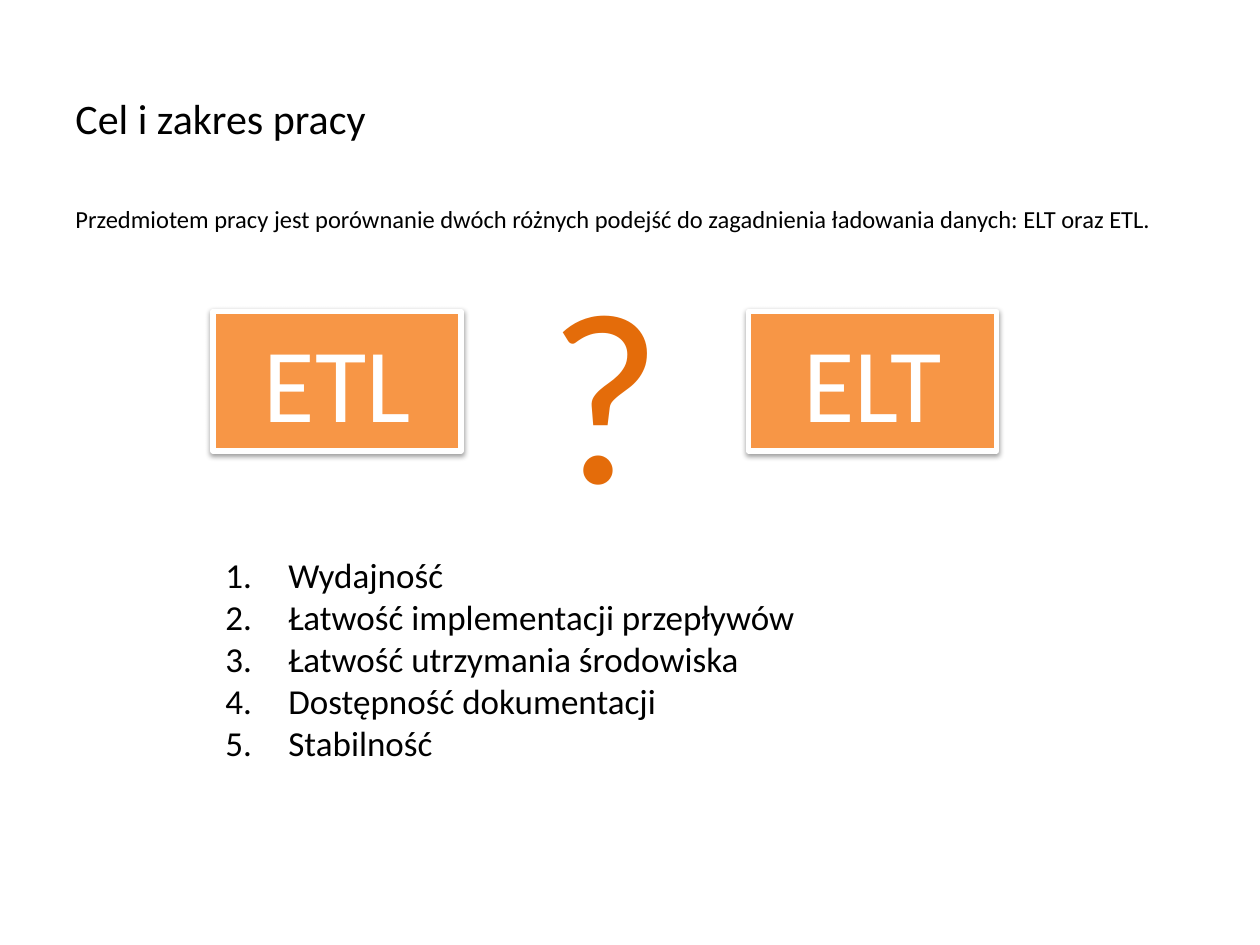
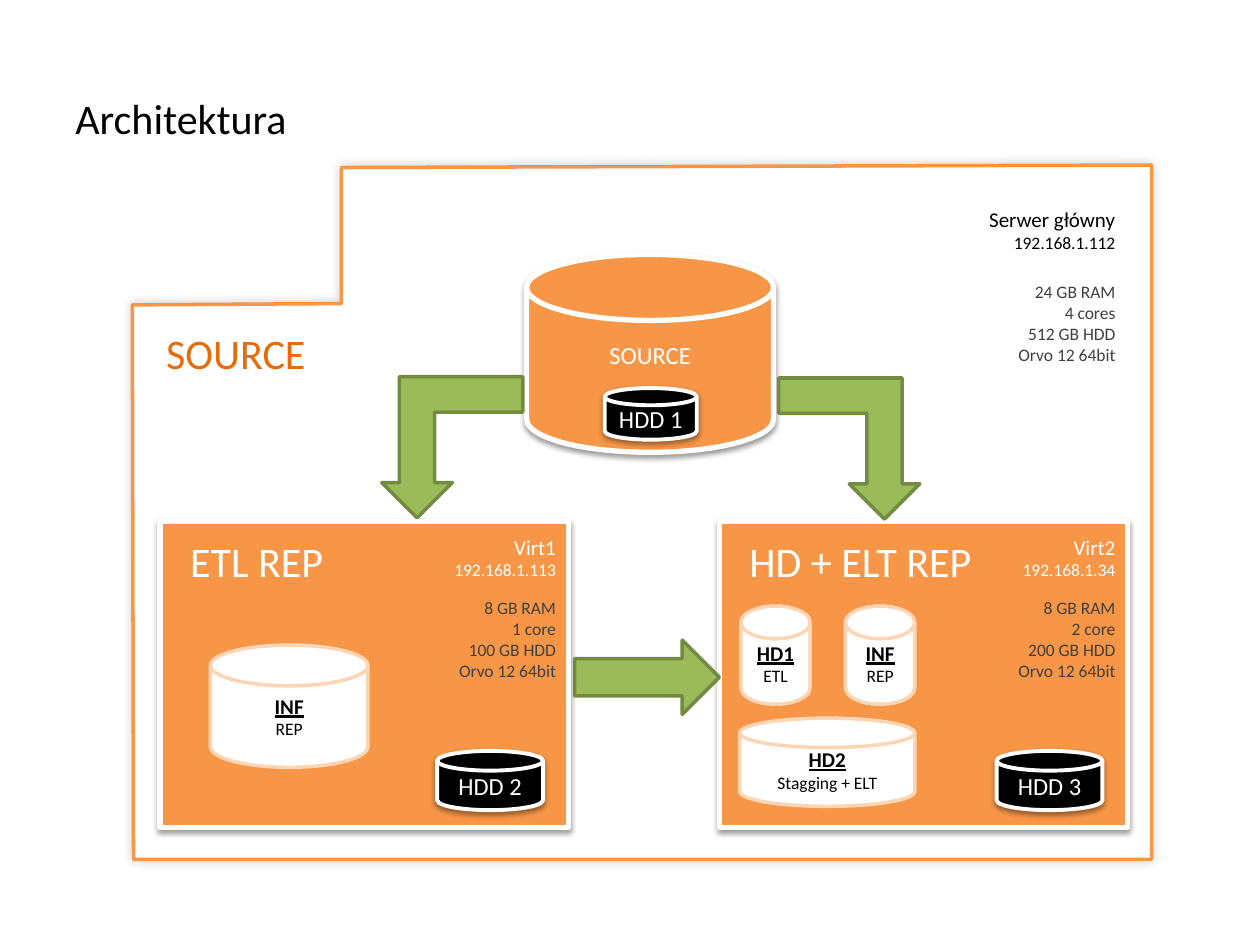
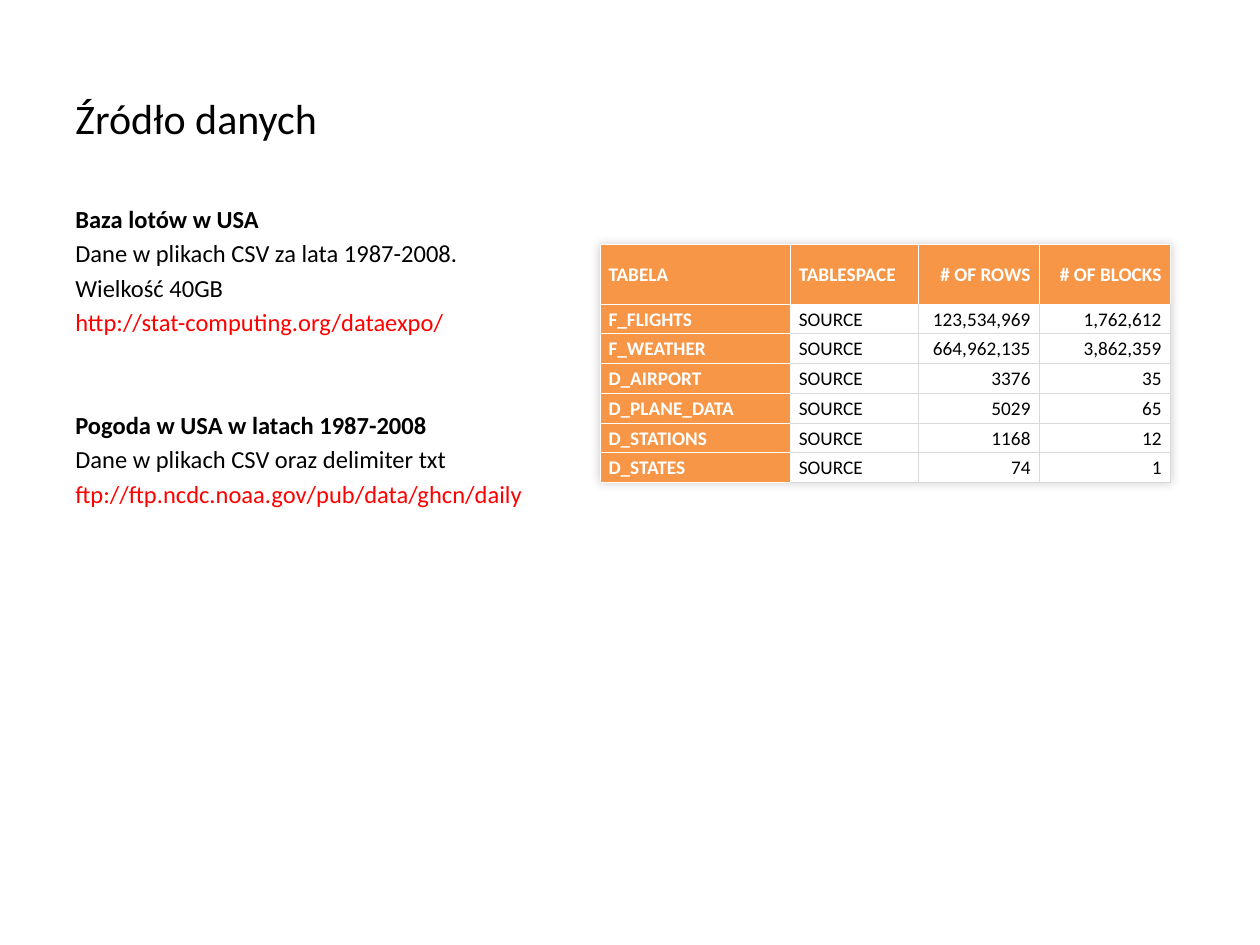
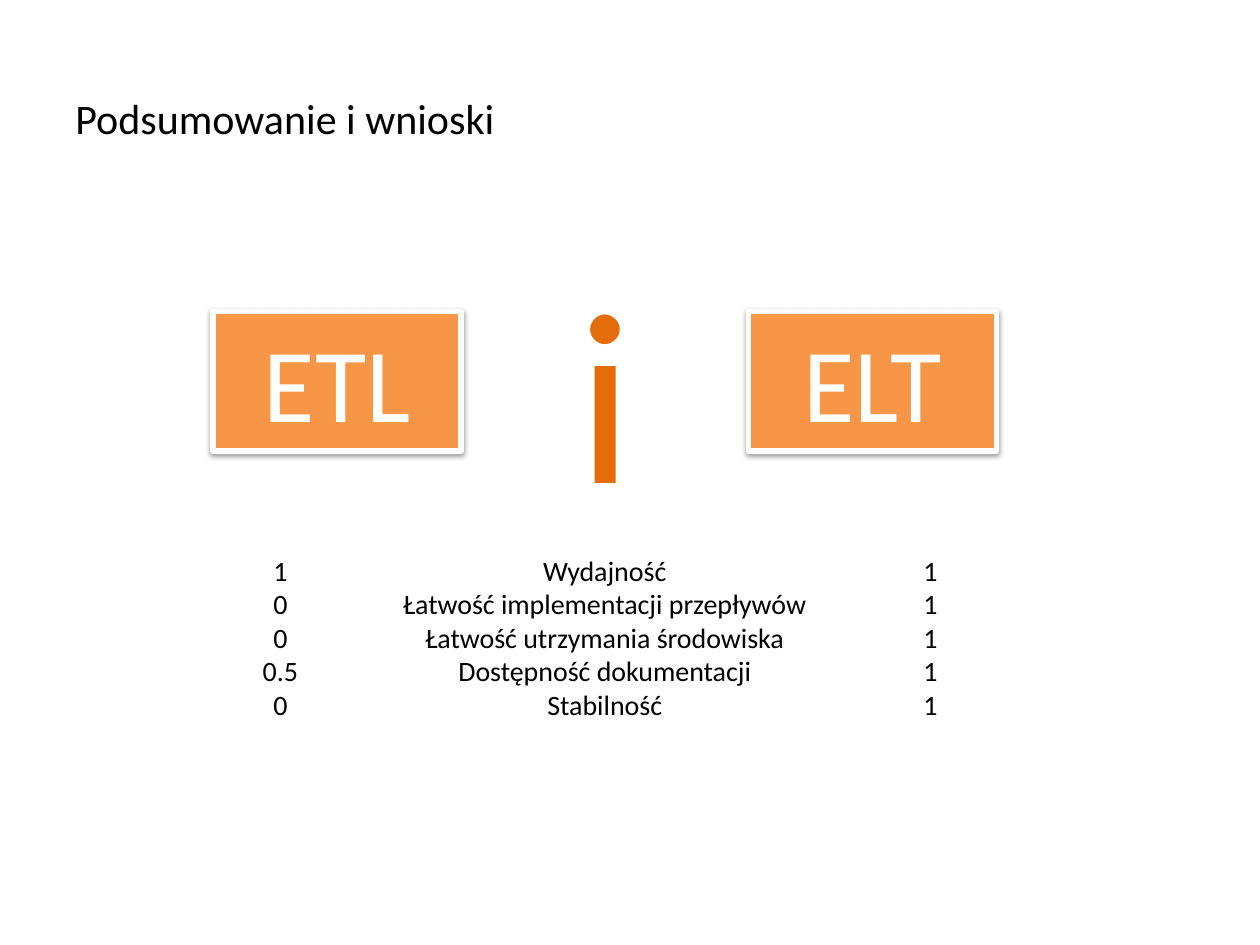
"""Builds four slides that compare the ETL and ELT ways of loading data."""
from dataclasses import dataclass
from typing import Any, NamedTuple, Optional

from lxml import etree
from pptx import Presentation
from pptx.dml.color import RGBColor
from pptx.enum.shapes import MSO_SHAPE
from pptx.enum.text import MSO_ANCHOR, PP_ALIGN
from pptx.oxml import parse_xml
from pptx.oxml.ns import nsdecls, qn
from pptx.util import Emu, Inches, Pt

RECTANGLE = MSO_SHAPE.RECTANGLE
DISK = MSO_SHAPE.FLOWCHART_MAGNETIC_DISK
RIGHT_ARROW = MSO_SHAPE.RIGHT_ARROW
BENT_ARROW = MSO_SHAPE.BENT_UP_ARROW
LEFT, CENTER, RIGHT = PP_ALIGN.LEFT, PP_ALIGN.CENTER, PP_ALIGN.RIGHT
TOP, MIDDLE = MSO_ANCHOR.TOP, MSO_ANCHOR.MIDDLE

COLUMNS, ROWS, CELL = 100, 75, Inches(0.1)


@dataclass(frozen=True)
class Theme:
    """Colours, font and type sizes shared by the slides."""
    font: str = "Calibri"
    ink: str = "000000"
    paper: str = "FFFFFF"
    accent: str = "F79646"
    accent_dark: str = "E46C0A"
    accent_pale: str = "FCD5B5"
    flow: str = "9BBB59"
    flow_edge: str = "738A42"
    detail: str = "404040"
    link: str = "FF0000"
    grid_line: str = "D9D9D9"
    symbol: int = 140
    method: int = 60
    title: int = 24
    listing: int = 20
    score: int = 16
    body: int = 14
    label: int = 12
    cell: int = 11
    small: int = 10


THEME = Theme()


class Box(NamedTuple):
    """A place on the slide, in grid columns and rows."""
    left: float
    top: float
    width: float
    height: float

    def emu(self) -> list[Emu]:
        """Return the four lengths in slide units."""
        return [span(length) for length in self]


class Line(NamedTuple):
    """One paragraph of text with its look."""
    text: str
    size: int
    color: str = THEME.ink
    bold: bool = False
    underline: bool = False
    before: float = 0


class Shadow(NamedTuple):
    """A soft outer shadow: opacity in percent, lengths in points."""
    opacity: int
    blur: float
    distance: float
    angle: int


class Style(NamedTuple):
    """Fill, outline and shadow of a shape."""
    fill: str
    edge: str
    weight: float
    shadow: Optional[Shadow] = None


class Machine(NamedTuple):
    """A virtual machine of the architecture."""
    left: float
    title: str
    title_width: float
    host: str
    address: str
    specs: list[str]
    disk: str


class Store(NamedTuple):
    """A database kept on a machine."""
    box: Box
    name: str
    role: str


class Arrow(NamedTuple):
    """A data flow between parts of the architecture."""
    kind: Any
    box: Box
    rotation: int = 0
    flipped: bool = False


DROP = Shadow(38, 3.1, 1.6, 90)
HALO = Shadow(20, 6, 0, 315)
BLOCK = Style(THEME.accent, THEME.paper, 3, DROP)
HARD_DISK = Style(THEME.ink, THEME.paper, 2.25, DROP)
STORE = Style(THEME.paper, THEME.accent_pale, 2)
FLOW = Style(THEME.flow, THEME.flow_edge, 2)
FRAME = Style(THEME.paper, THEME.accent, 2, HALO)

CRITERIA = ["Wydajność", "Łatwość implementacji przepływów", "Łatwość utrzymania środowiska",
            "Dostępność dokumentacji", "Stabilność"]
ETL_SCORES = ["1", "0", "0", "0.5", "0"]
ELT_SCORES = ["1"] * len(CRITERIA)

SYSTEM = "Orvo 12 64bit"
MACHINES = [
    Machine(57.1, "HD + ELT REP", 22, "Virt2", "192.168.1.34",
            ["8 GB RAM", "2 core", "200 GB HDD", SYSTEM], "HDD 3"),
    Machine(12.7, "ETL REP", 16.9, "Virt1", "192.168.1.113",
            ["8 GB RAM", "1 core", "100 GB HDD", SYSTEM], "HDD 2"),
]
STORES = [
    Store(Box(58.8, 48.1, 5.5, 7.8), "HD1", "ETL"),
    Store(Box(67.1, 48.1, 5.5, 7.8), "INF", "REP"),
    Store(Box(58.7, 57, 13.9, 7), "HD2", "Stagging + ELT"),
    Store(Box(16.7, 51.2, 12.5, 9.7), "INF", "REP"),
]
ARROWS = [
    Arrow(RIGHT_ARROW, Box(45.6, 50.8, 11.5, 5.9)),
    Arrow(BENT_ARROW, Box(30.3, 29.9, 11.2, 11.2), 180),
    Arrow(BENT_ARROW, Box(61.8, 30, 11.2, 11.2), 180, True),
]
SERVER_OUTLINE = [(10.5, 24.2), (27.1, 24.1), (27.1, 13.3), (91.4, 13.1), (91.4, 68.2), (10.6, 68.2)]

TABLE_COLUMNS = [15.1, 10.2, 9.6, 10.4]
TABLE_ROW = 2.36
TABLE = [
    ["TABELA", "TABLESPACE", "# OF ROWS", "# OF BLOCKS"],
    ["F_FLIGHTS", "SOURCE", "123,534,969", "1,762,612"],
    ["F_WEATHER", "SOURCE", "664,962,135", "3,862,359"],
    ["D_AIRPORT", "SOURCE", "3376", "35"],
    ["D_PLANE_DATA", "SOURCE", "5029", "65"],
    ["D_STATIONS", "SOURCE", "1168", "12"],
    ["D_STATES", "SOURCE", "74", "1"],
]


def span(cells: float) -> Emu:
    """Turn grid cells into slide units."""
    return Emu(round(cells * CELL))


def apply(target: Any, values: dict[str, Any]) -> None:
    """Set every named attribute of the target."""
    for name, value in values.items():
        setattr(target, name, value)


def lines(texts: list[str], size: int, color: str = THEME.ink) -> list[Line]:
    """Give several texts the same look."""
    return [Line(text, size, color) for text in texts]


def write(frame: Any, content: list[Line], align: Any = LEFT, anchor: Any = TOP,
          **layout: Any) -> None:
    """Fill a text frame, one paragraph for each line."""
    apply(frame, {"word_wrap": True, "vertical_anchor": anchor, **layout})
    for index, line in enumerate(content):
        paragraph = frame.paragraphs[0] if index == 0 else frame.add_paragraph()
        apply(paragraph, {"alignment": align, "space_before": Pt(line.before)})
        run = paragraph.add_run()
        run.text = line.text
        apply(run.font, {"name": THEME.font, "size": Pt(line.size),
                         "bold": line.bold, "underline": line.underline})
        run.font.color.rgb = RGBColor.from_string(line.color)


def add_text(slide: Any, box: Box, content: list[Line], align: Any = LEFT, anchor: Any = TOP) -> Any:
    """Add a text box and return its frame."""
    frame = slide.shapes.add_textbox(*box.emu()).text_frame
    write(frame, content, align, anchor)
    return frame


def shadow_effect(shadow: Shadow) -> Any:
    """Build the effect list that holds one shadow."""
    return parse_xml(
        f'<a:effectLst {nsdecls("a")}><a:outerShdw blurRad="{Pt(shadow.blur)}" '
        f'dist="{Pt(shadow.distance)}" dir="{shadow.angle * 60000}" rotWithShape="0">'
        f'<a:srgbClr val="{THEME.ink}"><a:alpha val="{shadow.opacity * 1000}"/></a:srgbClr>'
        '</a:outerShdw></a:effectLst>')


def paint(shape: Any, style: Style) -> None:
    """Give a shape its fill, outline and shadow."""
    shape.fill.solid()
    shape.fill.fore_color.rgb = RGBColor.from_string(style.fill)
    shape.line.color.rgb = RGBColor.from_string(style.edge)
    shape.line.width = Pt(style.weight)
    shape.shadow.inherit = False
    if style.shadow:
        properties = shape.element.spPr
        properties.replace(properties.find(qn("a:effectLst")), shadow_effect(style.shadow))


def add_block(slide: Any, kind: Any, box: Box, style: Style, content: Optional[list[Line]] = None,
              anchor: Any = MIDDLE, **layout: Any) -> Any:
    """Add a painted preset shape with centred text."""
    shape = slide.shapes.add_shape(kind, *box.emu())
    paint(shape, style)
    write(shape.text_frame, content or [], CENTER, anchor, **layout)
    return shape


def add_slide(deck: Any, title: str, width: float = 32.9) -> Any:
    """Add a blank slide with the shared title."""
    slide = deck.slides.add_slide(deck.slide_layouts[6])
    add_text(slide, Box(5, 3, width, 12.7), [Line(title, THEME.title)], anchor=MIDDLE)
    return slide


def add_methods(slide: Any, symbol: str) -> None:
    """Show the two methods with a symbol between them."""
    for left, method in ((16.9, "ETL"), (59.4, "ELT")):
        add_block(slide, RECTANGLE, Box(left, 24.7, 19.7, 11.1), BLOCK,
                  [Line(method, THEME.method, THEME.paper)], TOP)
    add_text(slide, Box(38.2, 18.4, 19.7, 24.6),
             [Line(symbol, THEME.symbol, THEME.accent_dark)], CENTER)


def add_host(slide: Any, box: Box, host: str, address: str, color: str) -> None:
    """Write a host name above its address."""
    add_text(slide, box, [Line(host, THEME.label, color), Line(address, THEME.small, color)], RIGHT)


def add_specs(slide: Any, left: float, top: float, specs: list[str]) -> None:
    """Write the hardware of a host."""
    add_text(slide, Box(left, top, 12.8, 7.7), lines(specs, THEME.small, THEME.detail), RIGHT)


def add_hard_disk(slide: Any, box: Box, name: str) -> None:
    """Draw a physical disk."""
    add_block(slide, DISK, box, HARD_DISK, [Line(name, THEME.body, THEME.paper)])


def add_machine(slide: Any, machine: Machine) -> None:
    """Draw a virtual machine with its title, host and disk."""
    left = machine.left
    add_block(slide, RECTANGLE, Box(left, 41.4, 32.4, 24.3), BLOCK)
    add_text(slide, Box(left + 1.4, 42, machine.title_width, 5),
             [Line(machine.title, THEME.title, THEME.paper)])
    add_hard_disk(slide, Box(left + 22, 59.6, 8.4, 4.7), machine.disk)
    add_specs(slide, left + 19.6, 46.9, machine.specs)
    add_host(slide, Box(left + 20.4, 41.9, 12, 4.7), machine.host, machine.address, THEME.paper)


def add_server_frame(slide: Any) -> None:
    """Draw the outline of the main server."""
    corners = [(span(column), span(row)) for column, row in SERVER_OUTLINE]
    builder = slide.shapes.build_freeform(*corners[0])
    builder.add_line_segments(corners[1:], close=True)
    paint(builder.convert_to_shape(), FRAME)


def set_borders(cell: Any, colors: dict[str, str]) -> None:
    """Draw the four thin borders of a table cell."""
    properties = cell._tc.get_or_add_tcPr()
    for index, (side, color) in enumerate(colors.items()):
        border = etree.Element(qn(f"a:ln{side}"), w=str(Pt(0.25)))
        fill = etree.SubElement(border, qn("a:solidFill"))
        etree.SubElement(fill, qn("a:srgbClr"), val=color)
        properties.insert(index, border)


def add_source_table(slide: Any) -> None:
    """Add the table of source tables and their sizes."""
    box = Box(47.6, 19.4, sum(TABLE_COLUMNS), TABLE_ROW * (len(TABLE) + 1))
    table = slide.shapes.add_table(len(TABLE), len(TABLE_COLUMNS), *box.emu()).table
    apply(table, {"first_row": False, "horz_banding": False})
    table._tbl.tblPr.insert(0, shadow_effect(HALO))
    for column, width in zip(table.columns, TABLE_COLUMNS):
        column.width = span(width)
    for row_index, texts in enumerate(TABLE):
        table.rows[row_index].height = span(TABLE_ROW if row_index else 2 * TABLE_ROW)
        for column_index, text in enumerate(texts):
            heading = row_index == 0 or column_index == 0
            cell = table.cell(row_index, column_index)
            apply(cell, {"margin_left": span(0.7), "margin_right": span(0.7), "margin_top": 0,
                         "margin_bottom": 0, "vertical_anchor": MIDDLE})
            cell.fill.solid()
            cell.fill.fore_color.rgb = RGBColor.from_string(THEME.accent if heading else THEME.paper)
            color = THEME.paper if heading else THEME.ink
            write(cell.text_frame, [Line(text, THEME.cell, color, heading)],
                  RIGHT if column_index > 1 else LEFT, MIDDLE)
            cell.text_frame.paragraphs[0].line_spacing = 1.07
            inner = THEME.paper if heading else THEME.grid_line
            set_borders(cell, {"L": THEME.paper if column_index == 1 else inner, "R": inner,
                               "T": THEME.paper if row_index == 1 else inner, "B": inner})


def build_scope(deck: Any) -> None:
    """Present the aim of the work and its criteria."""
    slide = add_slide(deck, "Cel i zakres pracy")
    add_text(slide, Box(5, 15.7, 89.1, 11.6), [Line(
        "Przedmiotem pracy jest porównanie dwóch różnych podejść do zagadnienia "
        "ładowania danych: ELT oraz ETL.", THEME.body, before=2.8)])
    add_methods(slide, "?")
    criteria = add_text(slide, Box(16.9, 43.4, 62.2, 24.6), lines(CRITERIA, THEME.listing))
    for paragraph in criteria.paragraphs:
        properties = paragraph._p.get_or_add_pPr()
        properties.set("marL", str(span(5)))
        properties.set("indent", str(-span(5)))
        etree.SubElement(properties, qn("a:buAutoNum"), type="arabicPeriod")


def build_architecture(deck: Any) -> None:
    """Draw the server, its machines and the data flows."""
    slide = add_slide(deck, "Architektura")
    add_server_frame(slide)
    for machine in MACHINES:
        add_machine(slide, machine)
    for store in STORES:
        add_block(slide, DISK, store.box, STORE,
                  [Line(store.name, THEME.label, bold=True, underline=True),
                   Line(store.role, THEME.small)])
    add_text(slide, Box(12.2, 25.5, 15.9, 5), [Line("SOURCE", THEME.title, THEME.accent_dark)])
    add_specs(slide, 76.7, 21.8, ["24 GB RAM", "4 cores", "512 GB HDD", SYSTEM])
    add_host(slide, Box(77.1, 15.9, 12.4, 4.7), "Serwer główny", "192.168.1.112", THEME.ink)
    add_block(slide, DISK, Box(41.8, 20.2, 19.6, 15.7), BLOCK,
              [Line("SOURCE", THEME.body, THEME.paper)], margin_bottom=span(2.9))
    add_hard_disk(slide, Box(48, 30.8, 7.3, 4.1), "HDD 1")
    for arrow in ARROWS:
        shape = add_block(slide, arrow.kind, arrow.box, FLOW)
        shape.rotation = arrow.rotation
        if arrow.flipped:
            shape.element.spPr.find(qn("a:xfrm")).set("flipH", "1")


def build_sources(deck: Any) -> None:
    """Describe the data sets and their sizes."""
    slide = add_slide(deck, "Źródło danych")
    size, gap, section_gap = THEME.body, 2.8, 42
    add_text(slide, Box(5, 15.7, 40.3, 51.3), [
        Line("Baza lotów w USA", size, bold=True, before=gap),
        Line("Dane w plikach CSV za lata 1987-2008.", size, before=gap),
        Line("Wielkość 40GB", size, before=gap),
        Line("http://stat-computing.org/dataexpo/", size, THEME.link, before=gap),
        Line("Pogoda w USA w latach 1987-2008", size, bold=True, before=section_gap),
        Line("Dane w plikach CSV oraz delimiter txt", size, before=gap),
        Line("ftp://ftp.ncdc.noaa.gov/pub/data/ghcn/daily", size, THEME.link, before=gap),
    ])
    add_source_table(slide)


def build_summary(deck: Any) -> None:
    """Score both methods on each criterion."""
    slide = add_slide(deck, "Podsumowanie i wnioski", 46.6)
    add_methods(slide, "i")
    for left, width, texts in ((29.9, 36.2, CRITERIA), (19.7, 5.1, ETL_SCORES), (71.3, 5.1, ELT_SCORES)):
        add_text(slide, Box(left, 43.4, width, 14.5), lines(texts, THEME.score), CENTER)


def main() -> None:
    """Build and save the presentation."""
    deck = Presentation()
    apply(deck, {"slide_width": span(COLUMNS), "slide_height": span(ROWS)})
    for build in (build_scope, build_architecture, build_sources, build_summary):
        build(deck)
    deck.save("out.pptx")


if __name__ == "__main__":
    main()
